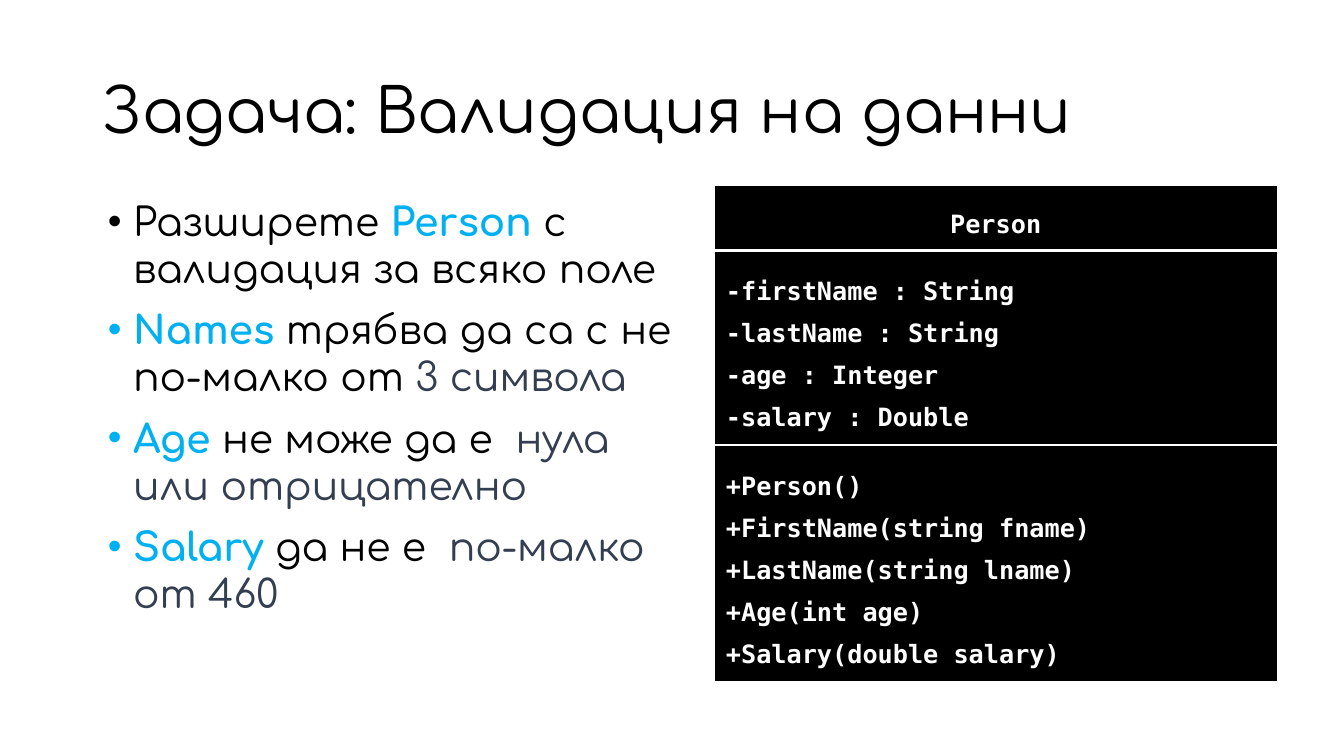
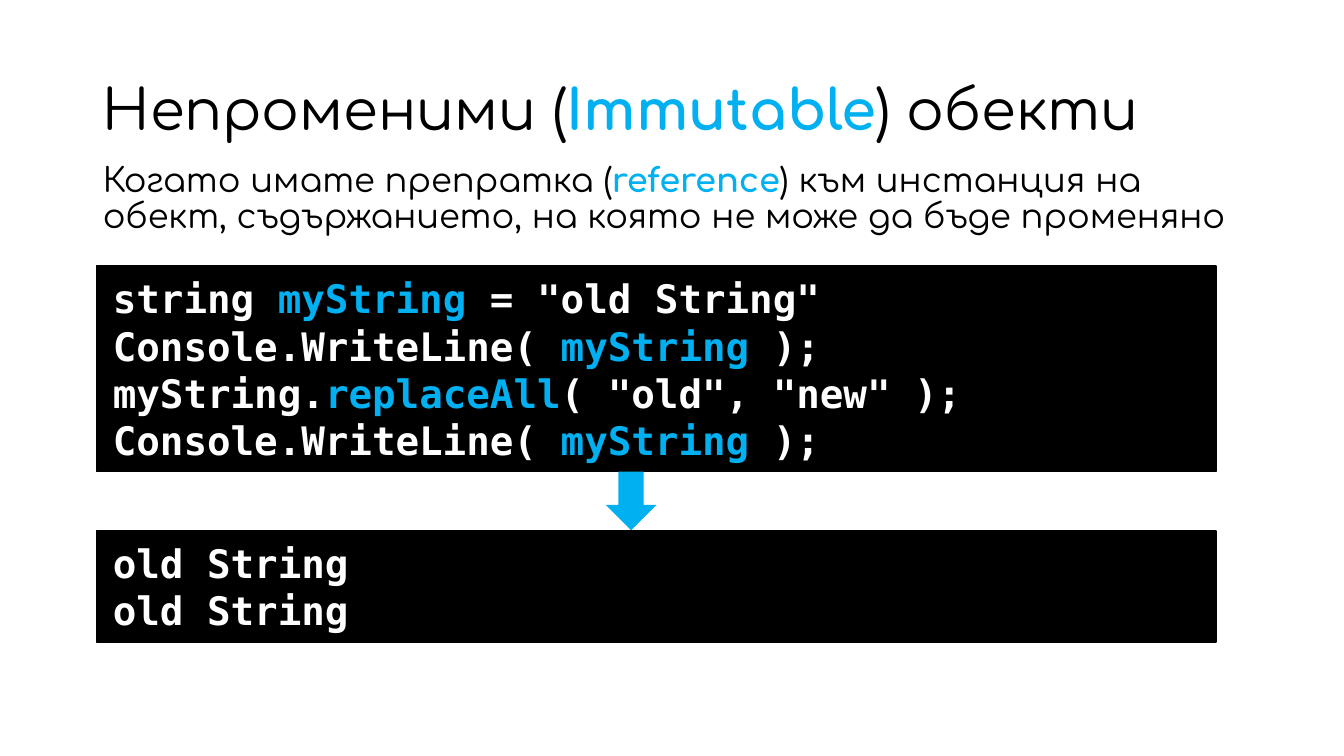
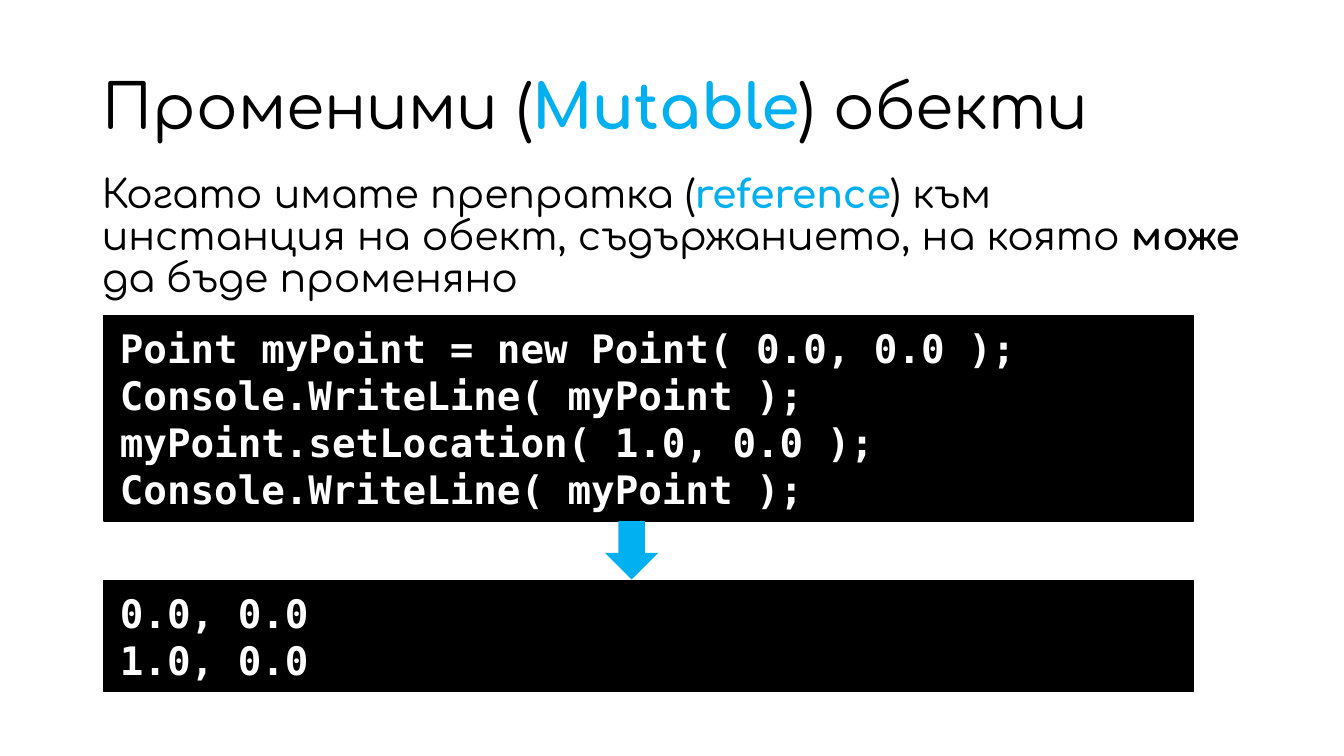
from pptx import Presentation
from pptx.dml.color import RGBColor
from pptx.enum.shapes import MSO_SHAPE
from pptx.enum.text import MSO_ANCHOR, MSO_AUTO_SIZE, PP_ALIGN
from pptx.oxml.ns import qn
from pptx.util import Emu, Pt
from lxml import etree

EMU_PER_PX = 9144
BLACK = RGBColor(0x00, 0x00, 0x00)
WHITE = RGBColor(0xFF, 0xFF, 0xFF)
BLUE = RGBColor(0x00, 0xB0, 0xF0)
SLATE = RGBColor(0x33, 0x3F, 0x50)
TEXT_FONT = "Comfortaa"
CODE_FONT = "DejaVu Sans Mono"
RECT, DOWN_ARROW = MSO_SHAPE.RECTANGLE, MSO_SHAPE.DOWN_ARROW
TOP, MIDDLE = MSO_ANCHOR.TOP, MSO_ANCHOR.MIDDLE
LEFT, CENTER = PP_ALIGN.LEFT, PP_ALIGN.CENTER
NO_AUTOFIT = MSO_AUTO_SIZE.NONE


def px(n):
    return Emu(n * EMU_PER_PX)


def key(text):
    return text, BLUE, True


def slate(text):
    return text, SLATE, False


class Deck:
    def __init__(self):
        self.prs = Presentation()
        self.prs.slide_width, self.prs.slide_height = px(1333), px(750)
        self.s = None

    def slide(self):
        self.s = self.prs.slides.add_slide(self.prs.slide_layouts[1])

    def fill_text(self, tf, paragraphs, font, size, color, bold=False,
                  align=LEFT, spacing=1.0, before=0):
        for i, runs in enumerate(paragraphs):
            p = tf.add_paragraph() if i else tf.paragraphs[0]
            p.alignment, p.line_spacing, p.space_before = align, spacing, Pt(before)
            for run in [runs] if isinstance(runs, str) else runs:
                text, run_color, run_bold = (run, color, bold) if isinstance(run, str) else run
                r = p.add_run()
                r.text = text
                r.font.name, r.font.size = font, Pt(size)
                r.font.color.rgb, r.font.bold = run_color, run_bold

    def placeholder(self, sp, box, anchor):
        sp.left, sp.top, sp.width, sp.height = map(px, box)
        tf = sp.text_frame
        tf.word_wrap, tf.auto_size, tf.vertical_anchor = True, NO_AUTOFIT, anchor
        return tf

    def title(self, runs, size=44, spacing=Pt(40)):
        tf = self.placeholder(self.s.shapes.title, (92, 40, 1150, 145), MIDDLE)
        self.fill_text(tf, [runs], TEXT_FONT, size, BLACK, spacing=spacing)

    def body(self, paragraphs, box, size=28, spacing=0.9, bulleted=False):
        tf = self.placeholder(self.s.placeholders[1], box, TOP)
        self.fill_text(tf, paragraphs, TEXT_FONT, size, BLACK, spacing=spacing, before=10)
        indent = px(25) if bulleted else 0
        for p in tf.paragraphs:
            pPr = p._p.get_or_add_pPr()
            pPr.set("marL", str(indent))
            pPr.set("indent", str(-indent))
            if bulleted:
                etree.SubElement(pPr, qn("a:buChar")).set("char", "•")
            else:
                etree.SubElement(pPr, qn("a:buNone"))

    def shape(self, kind, box, fill, line=None):
        sp = self.s.shapes.add_shape(kind, *map(px, box))
        sp.shadow.inherit = False
        sp.fill.solid()
        sp.fill.fore_color.rgb = fill
        if line is None:
            sp.line.fill.background()
        else:
            sp.line.color.rgb, sp.line.width = line, Pt(1)
        return sp

    def code(self, lines, box, size=28, line=BLACK, insets=(16, 8), align=LEFT, spacing=1.0):
        tf = self.shape(RECT, box, BLACK, line).text_frame
        tf.word_wrap, tf.vertical_anchor = True, MIDDLE
        tf.margin_left = tf.margin_right = px(insets[0])
        tf.margin_top = tf.margin_bottom = px(insets[1])
        self.fill_text(tf, lines, CODE_FONT, size, WHITE, True, align, spacing)

    def class_diagram(self, left, top, width, sections):
        for i, (height, lines) in enumerate(sections):
            self.code(lines, (left, top, width, height), 18, WHITE, (12, 12),
                      LEFT if i else CENTER, Pt(30))
            top += height + 1

    def program(self, lines, output, left, top, width, arrow_width):
        code_height, arrow_height, output_height = 204, 58, 110
        arrow_top = top + code_height
        self.code(lines, (left, top, width, code_height))
        self.shape(DOWN_ARROW, (626 - arrow_width // 2, arrow_top, arrow_width, arrow_height), BLUE)
        self.code(output, (left, arrow_top + arrow_height + 1, width, output_height))


def main():
    d = Deck()

    d.slide()
    d.title("Задача: Валидация на данни", spacing=0.9)
    d.body([
        ["Разширете ", key("Person "), "с валидация за всяко поле"],
        [key("Names "), "трябва да са с не по-малко от ", slate("3 символа")],
        [key("Age "), "не може да е  ", slate("нула или отрицателно")],
        [key("Salary "), "да не е  ", slate("по-малко от 460")],
    ], (97, 191, 596, 490), spacing=1.0, bulleted=True)
    d.class_diagram(708, 184, 559, [
        (64, ["Person"]),
        (192, ["-firstName : String", "-lastName : String", "-age : Integer", "-salary : Double"]),
        (234, ["+Person()", "+FirstName(string fname)", "+LastName(string lname)",
               "+Age(int age)", "+Salary(double salary)"]),
    ])

    d.slide()
    d.title(["Непроменими (", key("Immutable"), ") обекти"], size=40)
    d.body([["Когато имате препратка (", key("reference"),
             ") към инстанция на обект, съдържанието, на която не може да бъде променяно"]],
           (92, 157, 1150, 88), size=24)
    print_string = ["Console.WriteLine( ", key("myString"), " );"]
    d.program([
        ["string ", key("myString"), ' = "old String"'],
        print_string,
        ["myString.", key("replaceAll"), '( "old", "new" );'],
        print_string,
    ], ["old String"] * 2, 96, 264, 1110, 50)

    d.slide()
    d.title(["Променими (", key("Mutable"), ") обекти"])
    d.body([["Когато имате препратка (", key("reference"),
             ") към инстанция на обект, съдържанието, на която",
             (" може ", BLACK, True), "да бъде променяно"]],
           (91, 168, 1150, 476))
    print_point = "Console.WriteLine( myPoint );"
    d.program([
        "Point myPoint = new Point( 0.0, 0.0 );",
        print_point,
        "myPoint.setLocation( 1.0, 0.0 );",
        print_point,
    ], ["0.0, 0.0", "1.0, 0.0"], 103, 313, 1081, 53)

    d.prs.save("out.pptx")


if __name__ == "__main__":
    main()
